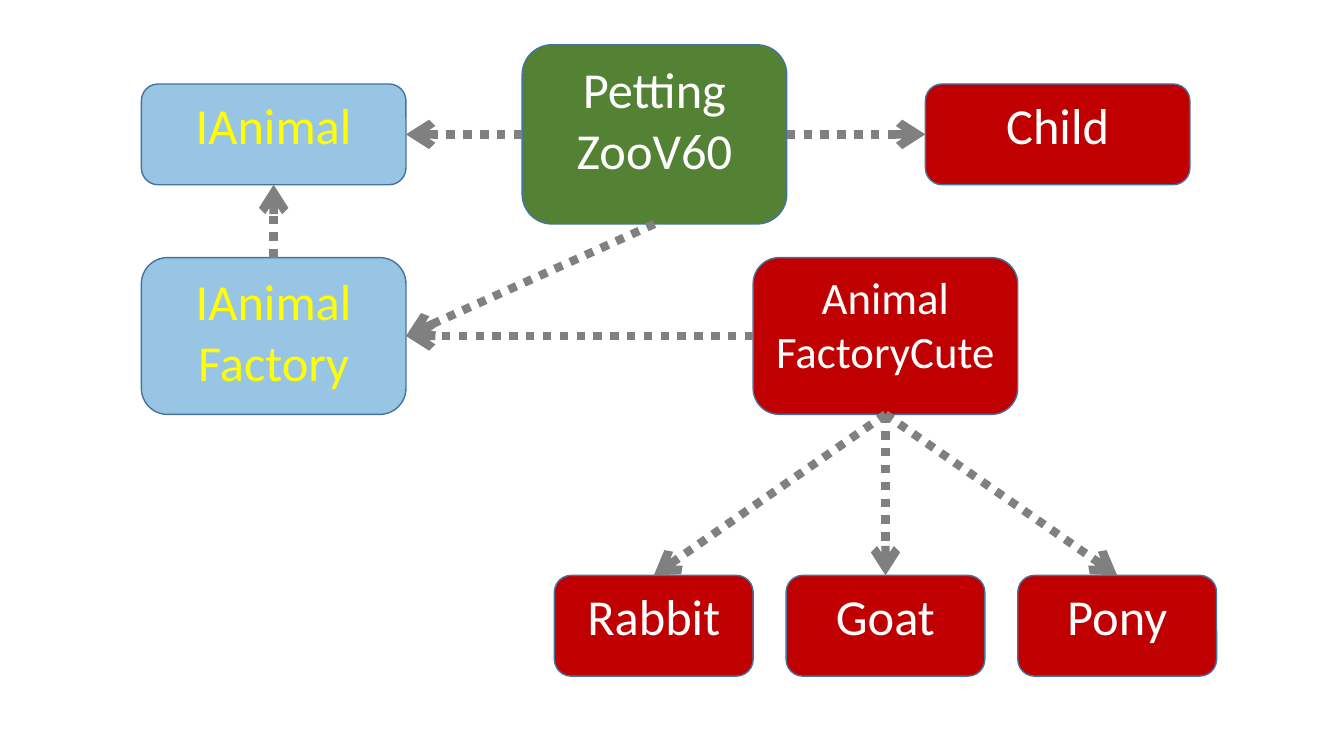
from pptx import Presentation
from pptx.dml.color import RGBColor
from pptx.enum.dml import MSO_LINE_DASH_STYLE as Dash
from pptx.enum.shapes import MSO_CONNECTOR, MSO_SHAPE
from pptx.enum.text import MSO_ANCHOR, PP_ALIGN
from pptx.oxml.ns import qn
from pptx.util import Pt
from lxml.etree import SubElement

RED = RGBColor(0xC0, 0x00, 0x00)
GREEN = RGBColor(0x54, 0x82, 0x35)
BLUE = RGBColor(0x00, 0x70, 0xC0)
OUTLINE = RGBColor(0x43, 0x73, 0x9E)
GRAY = RGBColor(0x80, 0x80, 0x80)
WHITE = RGBColor(0xFF, 0xFF, 0xFF)
YELLOW = RGBColor(0xFF, 0xFF, 0x00)

TOP, LEFT, BOTTOM, RIGHT = range(4)
CLASS_W, ROW_H, FACTORY_H = 189, 72, 112


def add_class(slide, box, lines, fill, color=WHITE, size=36, alpha=None):
    """Rounded class box with one paragraph per line; alpha is in percent."""
    node = slide.shapes.add_shape(MSO_SHAPE.ROUNDED_RECTANGLE, *map(Pt, box))
    node.shadow.inherit = False
    node.fill.solid()
    node.fill.fore_color.rgb = fill
    if alpha is not None:
        fill_color = node.fill._xPr.find(qn("a:solidFill"))[0]
        SubElement(fill_color, qn("a:alpha")).set("val", str(alpha * 1000))
    node.line.color.rgb = OUTLINE
    node.line.width = Pt(1)
    frame = node.text_frame
    frame.word_wrap = True
    frame.vertical_anchor = MSO_ANCHOR.TOP
    frame.text = "\n".join(lines)
    for paragraph in frame.paragraphs:
        paragraph.alignment = PP_ALIGN.CENTER
        paragraph.font.name = "Calibri"
        paragraph.font.size = Pt(size)
        paragraph.font.color.rgb = color
    return node


def add_dependency(slide, user, user_side, used, used_side):
    """Dotted arrow from one class to the class it depends on."""
    arrow = slide.shapes.add_connector(MSO_CONNECTOR.STRAIGHT, 0, 0, 0, 0)
    arrow.begin_connect(user, user_side)
    arrow.end_connect(used, used_side)
    arrow.line.color.rgb = GRAY
    arrow.line.width = Pt(6)
    arrow.line.dash_style = Dash.ROUND_DOT
    SubElement(arrow.line._get_or_add_ln(), qn("a:tailEnd")).set("type", "arrow")
    SubElement(arrow._element.spPr, qn("a:effectLst"))


def add_interfaces(slide, left, top):
    """IAnimal above the factory interface that returns it."""
    style = dict(fill=BLUE, color=YELLOW, alpha=40)
    animal = add_class(slide, (left, top, CLASS_W, ROW_H), ["IAnimal"], **style)
    factory = add_class(slide, (left, top + 124, CLASS_W, FACTORY_H),
                        ["IAnimal", "Factory"], **style)
    add_dependency(slide, factory, TOP, animal, BOTTOM)
    return animal, factory


def add_zoo(slide, left, top):
    """Petting zoo and, level with its middle, the child who visits it."""
    height = 128
    zoo = add_class(slide, (left, top, CLASS_W, height),
                    ["Petting", "ZooV60"], GREEN)
    child = add_class(slide, (left + 288, top + (height - ROW_H) / 2, CLASS_W, ROW_H),
                      ["Child"], RED)
    add_dependency(slide, zoo, RIGHT, child, LEFT)
    return zoo


def add_cute_factory(slide, left, top):
    """Concrete factory centred over the row of animals it makes."""
    animals, width, gap = ["Rabbit", "Goat", "Pony"], 142, 23.5
    row_w = len(animals) * (width + gap) - gap
    factory = add_class(slide, (left + (row_w - CLASS_W) / 2, top, CLASS_W, FACTORY_H),
                        ["Animal", "FactoryCute"], RED, size=32)
    for i, name in enumerate(animals):
        animal = add_class(slide, (left + i * (width + gap), top + 227, width, ROW_H),
                           [name], RED)
        add_dependency(slide, factory, BOTTOM, animal, TOP)
    return factory


def main():
    prs = Presentation()
    prs.slide_width, prs.slide_height = Pt(960), Pt(540)
    slide = prs.slides.add_slide(prs.slide_layouts[6])

    # Regions
    zoo = add_zoo(slide, 373, 32)
    animal, factory = add_interfaces(slide, 101, 60)
    cute_factory = add_cute_factory(slide, 396, 184)

    # Dependencies between regions
    add_dependency(slide, zoo, LEFT, animal, RIGHT)
    add_dependency(slide, zoo, BOTTOM, factory, RIGHT)
    add_dependency(slide, cute_factory, LEFT, factory, RIGHT)

    prs.save("out.pptx")


if __name__ == "__main__":
    main()
